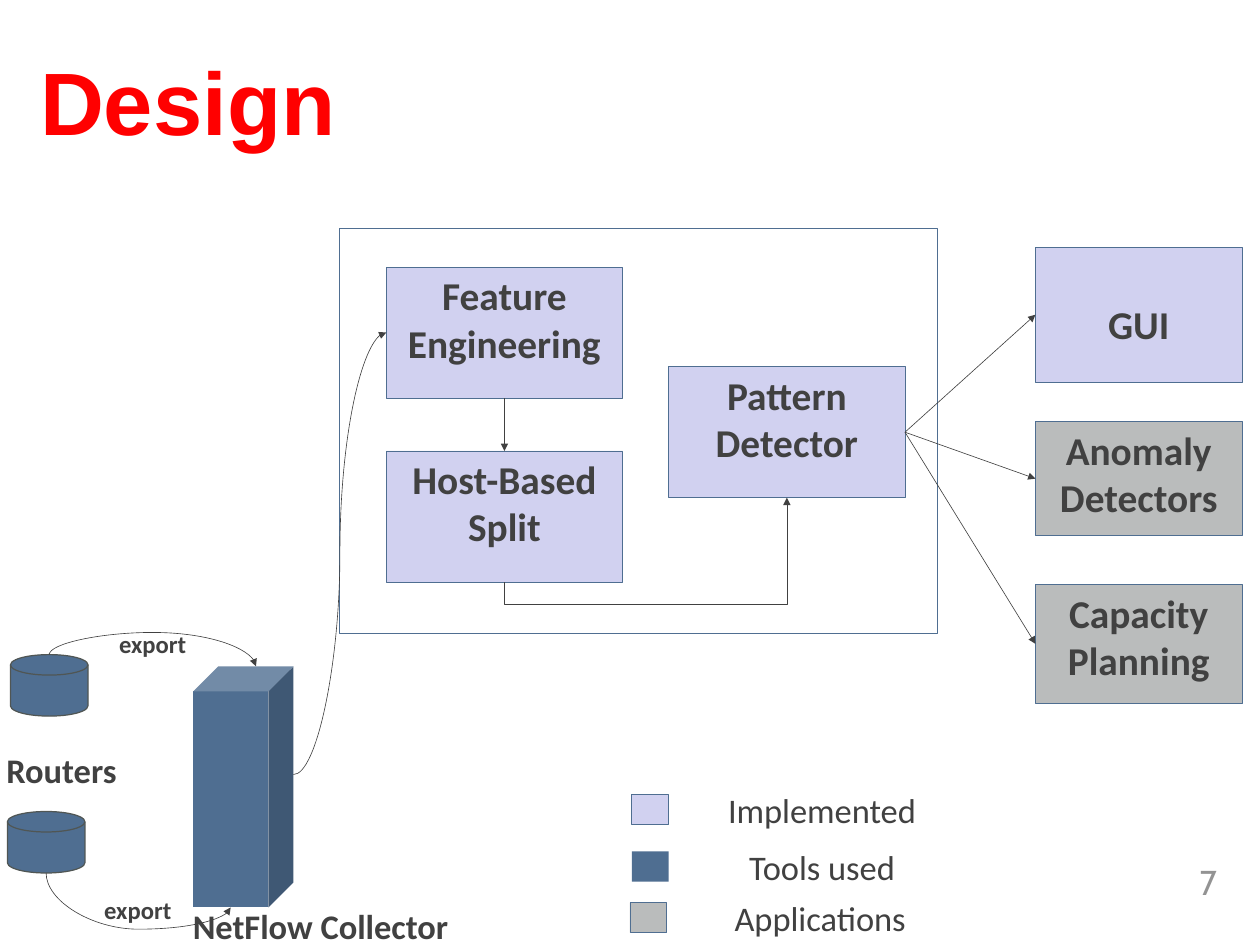
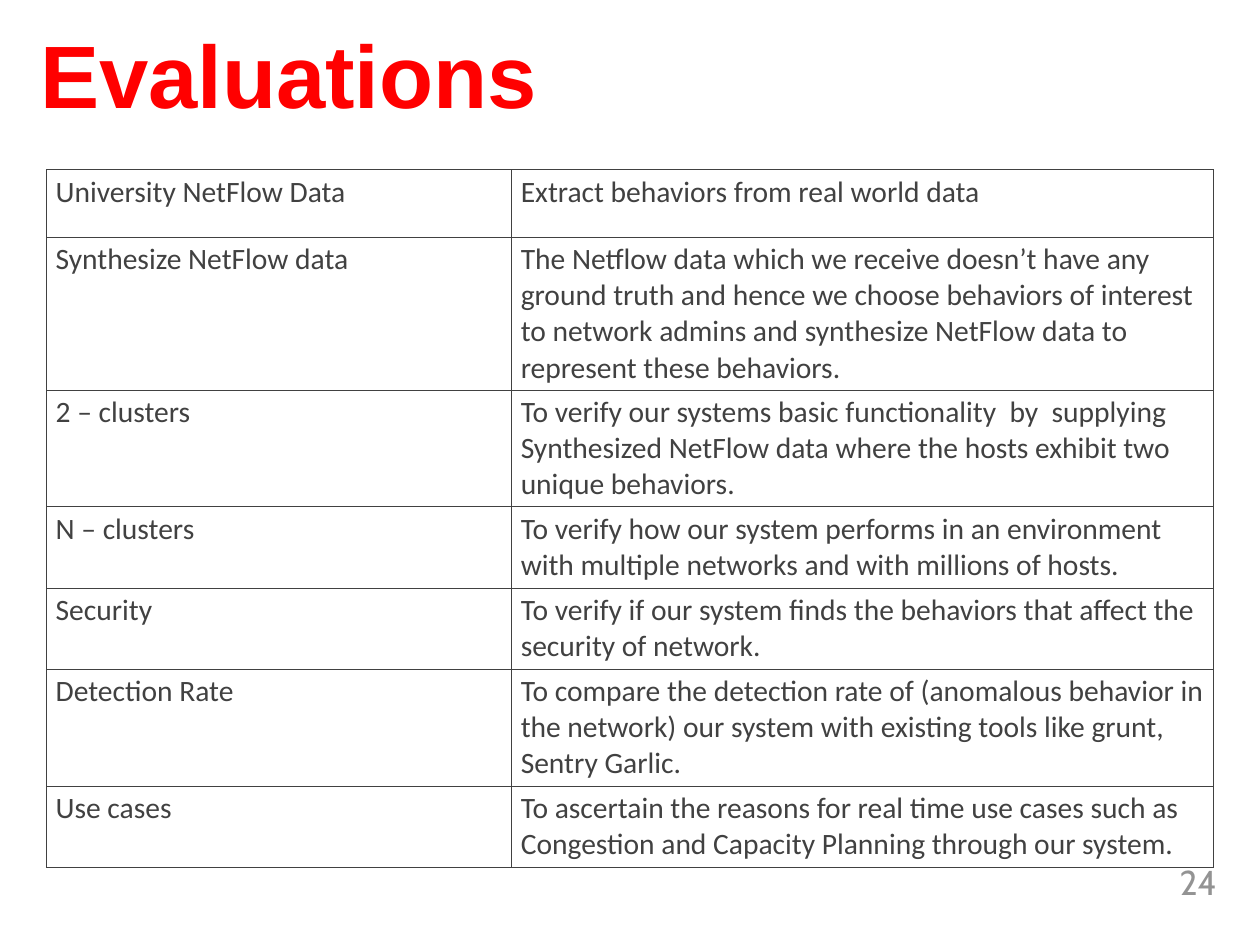
"""Build the design diagram and the evaluations table."""
from lxml import etree
from pptx import Presentation
from pptx import util as u
from pptx.dml.color import RGBColor
from pptx.enum import shapes, text
from pptx.oxml.ns import qn

Pt = u.Pt
C = {"title": "FF0000", "text": "414141", "done": "D1D1F0", "tool": "4F6E91",
     "app": "BABCBC", "disk": "505654", "number": "939393", "white": "FFFFFF"}
TITLE = {"name": "Arial", "size": Pt(72), "bold": True}
BOX = {"name": "Calibri", "size": Pt(32), "bold": True}
LABEL = {"name": "Calibri", "size": Pt(28), "bold": True}
EXPORT = {"name": "Calibri", "size": Pt(20), "bold": True}
LEGEND = {"name": "Calibri", "size": Pt(28), "bold": False}
NUMBER = {"name": "Cabin", "size": Pt(28), "bold": False}
CELL = {"name": "Calibri", "size": Pt(24), "bold": False}
ALIGN, ANCHOR = text.PP_ALIGN, text.MSO_ANCHOR
SHAPE, LINE = shapes.MSO_SHAPE, shapes.MSO_CONNECTOR


def write(tf, content, font, color="text", align=ALIGN.CENTER, **frame):
    """Fill a text frame with one format."""
    tf.text = content
    for key, value in {"word_wrap": True, **frame}.items():
        setattr(tf, key, value)
    for p in tf.paragraphs:
        p.alignment = align
        for r in p.runs:
            for key, value in font.items():
                setattr(r.font, key, value)
            r.font.color.rgb = RGBColor.from_string(C[color])


def draw(s, kind, at, fill=None, line=None, width=0.75):
    """Add a preset shape with flat fill and line."""
    sp = s.shapes.add_shape(kind, *map(Pt, at))
    sp.shadow.inherit = False
    for part, color in ((sp.fill, fill), (sp.line.fill, line)):
        if color:
            part.solid()
            part.fore_color.rgb = RGBColor.from_string(C[color])
        else:
            part.background()
    if line:
        sp.line.width = Pt(width)
    return sp


prs = Presentation()
prs.slide_width, prs.slide_height = Pt(1024), Pt(768)
slides = []
for title, top, number in (("Design", 30, "7"), ("Evaluations", 8, "24")):
    s = prs.slides.add_slide(prs.slide_layouts[5])
    sp = s.shapes.title
    sp.left, sp.top, sp.width, sp.height = map(Pt, (28, top, 968, 99))
    inset = {f"margin_{side}": Pt(4.5) for side in ("left", "right", "top", "bottom")}
    write(sp.text_frame, title, TITLE, "title", ALIGN.LEFT, vertical_anchor=ANCHOR.BOTTOM,
          auto_size=text.MSO_AUTO_SIZE.NONE, **inset)
    sp = s.shapes.add_textbox(*map(Pt, (765, 696, 231, 41)))
    write(sp.text_frame, number, NUMBER, "number", ALIGN.RIGHT, vertical_anchor=ANCHOR.MIDDLE)
    slides.append(s)
design, evaluations = slides

disk_top, disk_bottom = [
    draw(design, SHAPE.FLOWCHART_MAGNETIC_DISK, (x, y, 63, 50), "tool", "disk", 1)
    for x, y in ((8.5, 532), (6, 659.5))]
collector = draw(design, SHAPE.CUBE, (157, 541.5, 81.5, 196), "tool")
draw(design, SHAPE.RECTANGLE, (276, 186, 486, 329), None, "tool")

boxes = {}
for name, x, y, w, h, fill in (
        ("Feature Engineering", 314, 217, 192, 106.5, "done"),
        ("Host-Based Split", 314, 366.5, 192, 106.5, "done"),
        ("Pattern Detector", 543.5, 298, 192, 106.5, "done"),
        ("GUI", 841.5, 201, 168, 109.5, "done"),
        ("Anomaly Detectors", 841.5, 342.5, 168, 93, "app"),
        ("Capacity\nPlanning", 841.5, 475, 168, 96.5, "app")):
    sp = boxes[name] = draw(design, SHAPE.RECTANGLE, (x, y, w, h), fill, "tool")
    write(sp.text_frame, name, BOX, vertical_anchor=ANCHOR.TOP,
          margin_top=Pt(42.6 if name == "GUI" else 3.6))
feature, split, pattern, gui, anomaly, capacity = boxes.values()

for name, x, y, w, font in (
        ("Routers", 0, 605.5, 100, LABEL), ("NetFlow Collector", 108, 732, 305, LABEL),
        ("export", 52, 724, 120, EXPORT), ("export", 64, 507.5, 120, EXPORT)):
    sp = design.shapes.add_textbox(*map(Pt, (x, y, w, 36)))
    write(sp.text_frame, name, font, margin_left=0, margin_right=0)

for name, x, y, fill, line in (
        ("Implemented", 513.5, 646, "done", "tool"), ("Tools used", 513.5, 692, "tool", None),
        ("Applications", 512, 733.5, "app", "tool")):
    draw(design, SHAPE.RECTANGLE, (x, y, 30, 24.5), fill, line)
    sp = design.shapes.add_textbox(*map(Pt, (x + 70.5, y - 8, 168, 41)))
    write(sp.text_frame, name, LEGEND)

for kind, start, i, end, j, ends, turn, flips, adj in (
        (LINE.STRAIGHT, feature, 2, split, 0, None, 0, "", None),
        (LINE.STRAIGHT, pattern, 3, gui, 1, None, 0, "", None),
        (LINE.STRAIGHT, pattern, 3, anomaly, 1, None, 0, "", None),
        (LINE.STRAIGHT, pattern, 3, capacity, 1, None, 0, "", None),
        (LINE.ELBOW, split, 2, pattern, 2, (410, 473, 639.5, 404.5), 90, "HV", -0.26),
        (LINE.CURVE, collector, 5, feature, 1, (238.5, 629.5, 314, 270.25), 0, "V", 0.5),
        (LINE.CURVE, disk_top, 1, collector, 0, (40, 532, 208, 541.5), 270, "H", -1.9),
        (LINE.CURVE, disk_bottom, 3, collector, 3, (37.5, 709.5, 187.5, 737.5), 270, "H", 1.63)):
    c = design.shapes.add_connector(kind, 0, 0, 0, 0)
    c.begin_connect(start, i % 4)
    c.end_connect(end, j)
    if ends:
        next(c._element.iter(qn("a:stCxn"))).set("idx", str(i))
        x1, y1, x2, y2 = ends
        w, h = abs(x2 - x1), abs(y2 - y1)
        if turn:
            w, h = h, w
        c.left, c.top = Pt((x1 + x2 - w) / 2), Pt((y1 + y2 - h) / 2)
        c.width, c.height = Pt(w), Pt(h)
        xfrm = c._element.spPr.find(qn("a:xfrm"))
        xfrm.set("rot", str(turn * 60000))
        for axis in "HV":
            xfrm.set(f"flip{axis}", str(int(axis in flips)))
        guides = c._element.spPr.find(qn("a:prstGeom")).get_or_add_avLst()
        etree.SubElement(guides, qn("a:gd"), name="adj1", fmla=f"val {round(adj * 100000)}")
    c.line.width = Pt(0.5)
    c.line.color.rgb = RGBColor.from_string(C["text"])
    etree.SubElement(c.line._get_or_add_ln(), qn("a:tailEnd"), type="triangle")
    etree.SubElement(c._element.spPr, qn("a:effectLst"))

rows = (
    (55, "University NetFlow Data", "Extract behaviors from real world data"),
    (124, "Synthesize NetFlow data",
     "The Netflow data which we receive doesn’t have any ground truth and hence we choose "
     "behaviors of interest to network admins and synthesize NetFlow data to represent "
     "these behaviors."),
    (95, "2 – clusters",
     "To verify our systems basic functionality  by  supplying Synthesized NetFlow data "
     "where the hosts exhibit two unique behaviors."),
    (66, "N – clusters",
     "To verify how our system performs in an environment with multiple networks and with "
     "millions of hosts."),
    (66, "Security",
     "To verify if our system finds the behaviors that affect the security of network."),
    (95, "Detection Rate",
     "To compare the detection rate of (anomalous behavior in the network) our system with "
     "existing tools like grunt, Sentry Garlic."),
    (66, "Use cases",
     "To ascertain the reasons for real time use cases such as Congestion and Capacity "
     "Planning through our system."))
table = evaluations.shapes.add_table(
    len(rows), 2, *map(Pt, (38, 138, 948, sum(row[0] for row in rows)))).table
for column, width in zip(table.columns, (378, 570)):
    column.width = Pt(width)
for row, (height, *contents) in zip(table.rows, rows):
    row.height = Pt(height)
    for cell, content in zip(row.cells, contents):
        write(cell.text_frame, content, CELL, align=ALIGN.LEFT)
        props = cell._tc.get_or_add_tcPr()
        for side in "LRTB":
            ln = etree.SubElement(props, qn(f"a:ln{side}"), w=str(Pt(1)))
            fill = etree.SubElement(ln, qn("a:solidFill"))
            etree.SubElement(fill, qn("a:srgbClr"), val=C["text"])
        cell.fill.solid()
        cell.fill.fore_color.rgb = RGBColor.from_string(C["white"])

prs.save("out.pptx")
